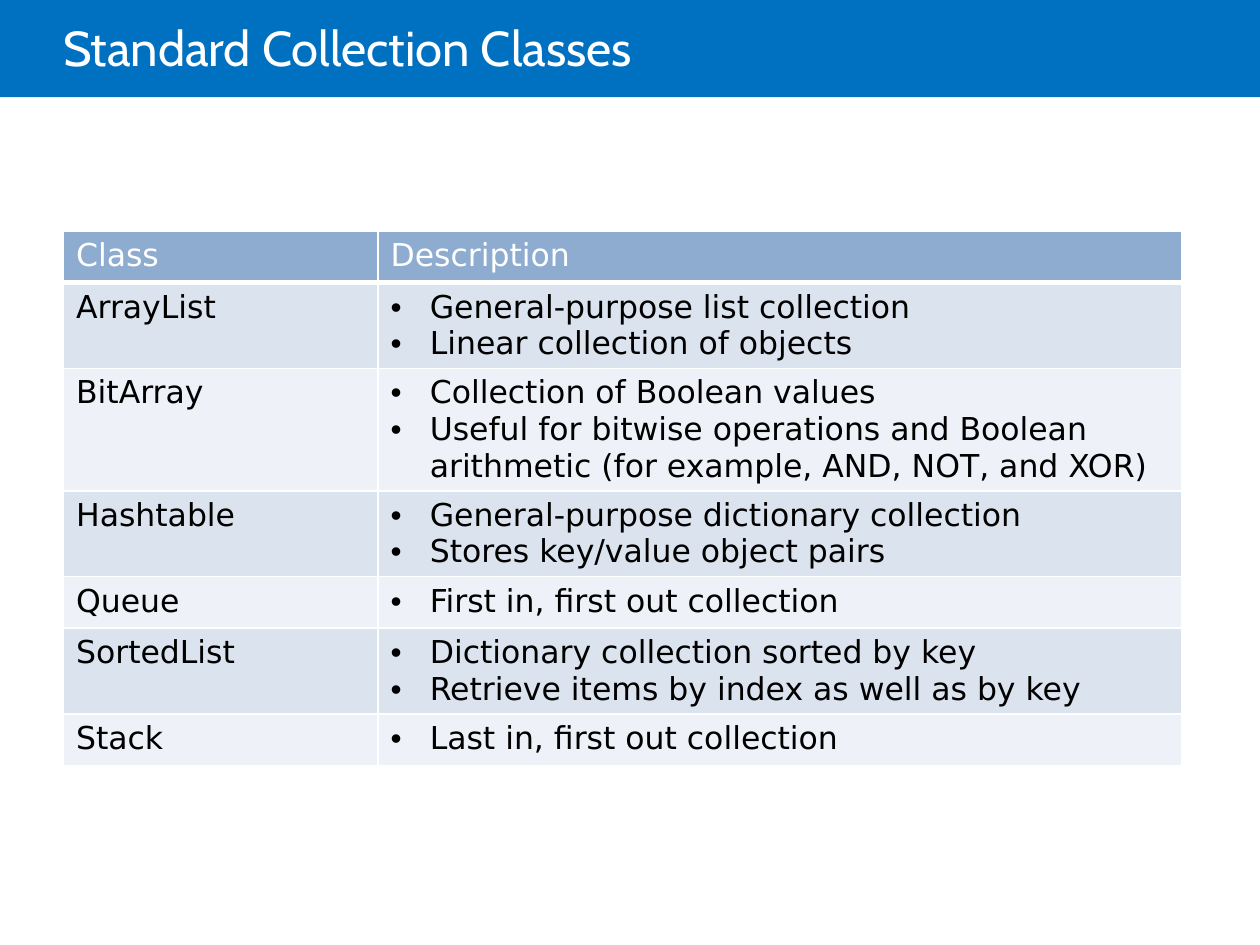
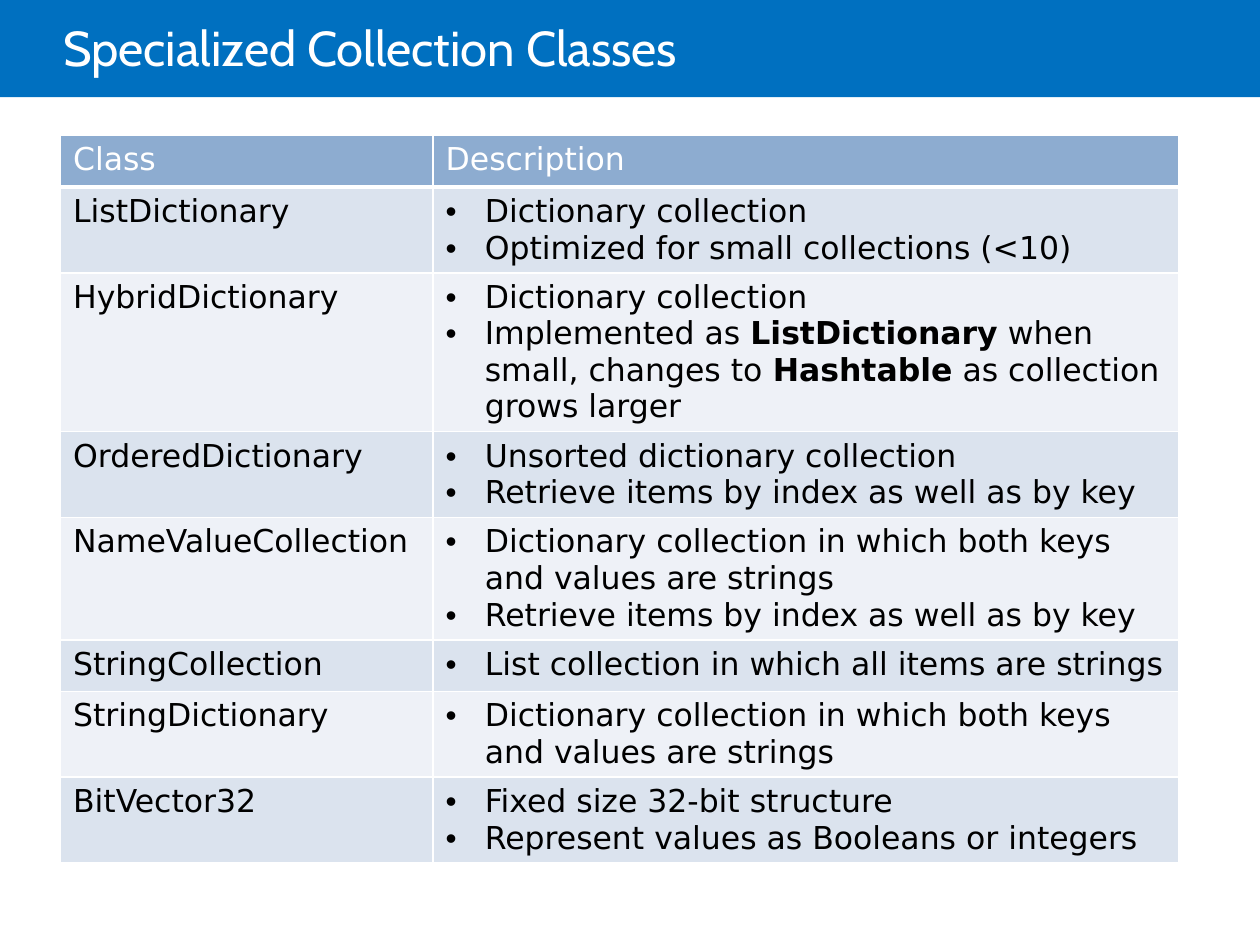
import pptx
import pptx.dml.color
import pptx.enum.shapes
import pptx.enum.text
import pptx.oxml
import pptx.oxml.ns
import pptx.util

Cm = pptx.util.Cm
Pt = pptx.util.Pt
RGBColor = pptx.dml.color.RGBColor

BAND_BLUE = RGBColor(0x00, 0x70, 0xC0)
HEADER_BLUE = RGBColor(0x8D, 0xAC, 0xD0)
ROW_DARK = RGBColor(0xDB, 0xE3, 0xEE)
ROW_LIGHT = RGBColor(0xEE, 0xF1, 0xF7)
WHITE = RGBColor(0xFF, 0xFF, 0xFF)
BLACK = RGBColor(0x00, 0x00, 0x00)
TITLE_FONT = "Cabin"
TABLE_FONT = "DejaVu Sans"
ROW_HEIGHT = Cm(1.04)
BULLET_INDENT = Cm(0.79)

standard_classes = [
    ("ArrayList", ["General-purpose list collection", "Linear collection of objects"]),
    ("BitArray", ["Collection of Boolean values",
                  "Useful for bitwise operations and Boolean arithmetic (for example, AND, NOT, and XOR)"]),
    ("Hashtable", ["General-purpose dictionary collection", "Stores key/value object pairs"]),
    ("Queue", ["First in, first out collection"]),
    ("SortedList", ["Dictionary collection sorted by key",
                    "Retrieve items by index as well as by key"]),
    ("Stack", ["Last in, first out collection"]),
]
specialized_classes = [
    ("ListDictionary", ["Dictionary collection", "Optimized for small collections (<10)"]),
    ("HybridDictionary", ["Dictionary collection",
                          "Implemented as **ListDictionary** when small, "
                          "changes to **Hashtable** as collection grows larger"]),
    ("OrderedDictionary", ["Unsorted dictionary collection",
                           "Retrieve items by index as well as by key"]),
    ("NameValueCollection", ["Dictionary collection in which both keys and values are strings",
                             "Retrieve items by index as well as by key"]),
    ("StringCollection", ["List collection in which all items are strings"]),
    ("StringDictionary", ["Dictionary collection in which both keys and values are strings"]),
    ("BitVector32", ["Fixed size 32-bit structure", "Represent values as Booleans or integers"]),
]
slide_contents = [
    ("Standard Collection Classes", standard_classes,
     Cm(1.28), Cm(4.66), Cm(10.97), (Cm(6.34), Cm(16.2))),
    ("Specialized Collection Classes", specialized_classes,
     Cm(1.22), Cm(2.73), Cm(15.77), (Cm(7.51), Cm(15.04))),
]


def style_cell(cell, fill_color, bottom_width):
    cell_properties = cell._tc.get_or_add_tcPr()
    for side, width in (("L", Pt(1)), ("R", Pt(1)), ("T", Pt(1)), ("B", bottom_width)):
        cell_properties.append(pptx.oxml.parse_xml(
            f'<a:ln{side} {pptx.oxml.ns.nsdecls("a")} w="{width}">'
            f'<a:solidFill><a:srgbClr val="{WHITE}"/></a:solidFill></a:ln{side}>'))
    cell.fill.solid()
    cell.fill.fore_color.rgb = fill_color


def write_paragraph(paragraph, text, color, bulleted):
    if bulleted:
        properties = paragraph._p.get_or_add_pPr()
        properties.set("marL", str(BULLET_INDENT))
        properties.set("indent", str(-BULLET_INDENT))
        for bullet in ('<a:buFont {} typeface="Arial"/>', '<a:buChar {} char="•"/>'):
            properties.append(pptx.oxml.parse_xml(bullet.format(pptx.oxml.ns.nsdecls("a"))))
    for index, part in enumerate(text.split("**")):
        run = paragraph.add_run()
        run.text = part
        run.font.name = TABLE_FONT
        run.font.size = Pt(18)
        run.font.bold = index % 2 == 1
        run.font.color.rgb = color


presentation = pptx.Presentation()
presentation.slide_width = Cm(25.4)
presentation.slide_height = Cm(19.05)

for title_text, classes, left, top, table_height, column_widths in slide_contents:
    slide = presentation.slides.add_slide(presentation.slide_layouts[5])

    band = slide.shapes.add_shape(pptx.enum.shapes.MSO_SHAPE.RECTANGLE,
                                  0, 0, presentation.slide_width, Cm(1.96))
    band.shadow.inherit = False
    band.fill.solid()
    band.fill.fore_color.rgb = BAND_BLUE
    band.line.fill.background()

    title = slide.shapes.title
    title.element.addprevious(band.element)
    title.left, title.top, title.width, title.height = Cm(1.27), 0, Cm(21.59), Cm(2.06)
    title_frame = title.text_frame
    title_frame.text = title_text
    title_frame.auto_size = pptx.enum.text.MSO_AUTO_SIZE.NONE
    title_frame.vertical_anchor = pptx.enum.text.MSO_ANCHOR.MIDDLE
    title_frame.margin_left = 0
    title_paragraph = title_frame.paragraphs[0]
    title_paragraph.alignment = pptx.enum.text.PP_ALIGN.LEFT
    title_paragraph.line_spacing = 0.85
    title_font = title_paragraph.runs[0].font
    title_font.name = TITLE_FONT
    title_font.size = Pt(28)
    title_font.color.rgb = WHITE

    table_rows = [("Class", ["Description"])] + classes
    table_shape = slide.shapes.add_table(len(table_rows), 2, left, top,
                                         sum(column_widths), table_height)
    table = table_shape.table
    for column, width in zip(table.columns, column_widths):
        column.width = width
    for row_index, (class_name, descriptions) in enumerate(table_rows):
        is_header = row_index == 0
        table.rows[row_index].height = ROW_HEIGHT
        fill_color = HEADER_BLUE if is_header else (ROW_LIGHT, ROW_DARK)[row_index % 2]
        text_color = WHITE if is_header else BLACK
        for column_index, lines in enumerate(([class_name], descriptions)):
            cell = table.cell(row_index, column_index)
            style_cell(cell, fill_color, Pt(3) if is_header else Pt(1))
            for line_index, line in enumerate(lines):
                text_frame = cell.text_frame
                paragraph = text_frame.add_paragraph() if line_index else text_frame.paragraphs[0]
                write_paragraph(paragraph, line, text_color, column_index == 1 and not is_header)
    table_shape.height = table_height

presentation.save("out.pptx")
